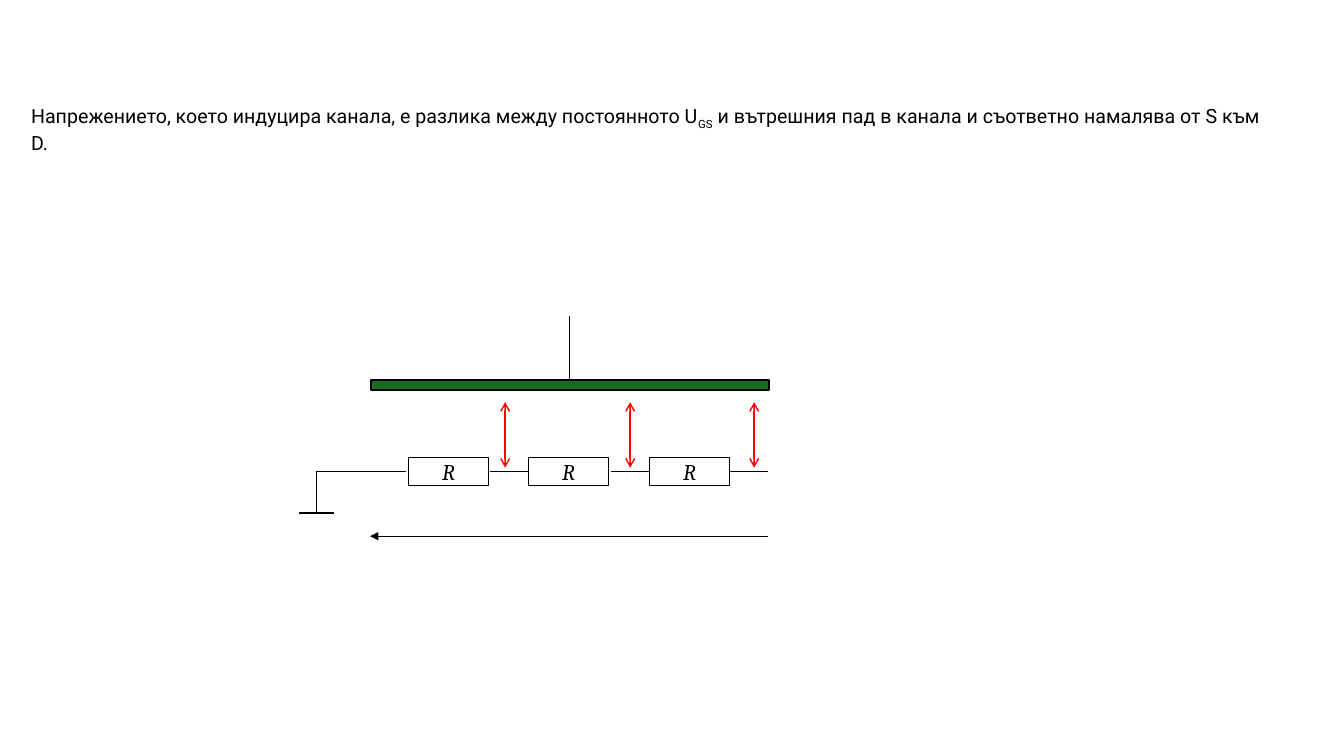
from pptx import Presentation
from pptx.dml.color import RGBColor
from pptx.enum.shapes import MSO_CONNECTOR, MSO_SHAPE
from pptx.enum.text import MSO_ANCHOR, MSO_AUTO_SIZE, PP_ALIGN
from pptx.oxml.ns import qn
from pptx.util import Inches, Pt
from lxml.etree import SubElement

BLACK = RGBColor(0x00, 0x00, 0x00)
WHITE = RGBColor(0xFF, 0xFF, 0xFF)
RED = RGBColor(0xFF, 0x00, 0x00)
GREEN = RGBColor(0x19, 0x6B, 0x24)

# (text, baseline shift in thousandths of a percent)
EXPLANATION = [
    ("Напрежението, което индуцира канала, е разлика между постоянното U", 0),
    ("GS", -25000),
    (" и вътрешния пад в канала и съответно намалява от S към D.", 0),
]
RESISTOR_LABEL = "R"
RESISTOR_LEFTS = [4.05, 5.24, 6.44]
RESISTOR_TOP, RESISTOR_WIDTH, RESISTOR_HEIGHT = 4.54, 0.8, 0.28
WIRE_Y = RESISTOR_TOP + RESISTOR_HEIGHT / 2
WIRE_STARTS = [4.86, 6.06, 7.24]
WIRE_LENGTH = 0.38
GATE = (3.68, 3.77, 3.95, 0.1)
GROUND_Y = 5.09
VOLTAGE_XS = [5.01, 6.25, 7.48]
VOLTAGE_TOP, VOLTAGE_BOTTOM = 3.99, 4.64


def add_span(para, text, font, size, italic=None, baseline=0):
    span = para.add_run()
    span.text = text
    span.font.name = font
    span.font.size = Pt(size)
    span.font.italic = italic
    span.font.color.rgb = BLACK
    if baseline:
        span.font._element.set("baseline", str(baseline))


def add_rectangle(page, place, fill, line_width):
    box = page.shapes.add_shape(MSO_SHAPE.RECTANGLE, *map(Inches, place))
    box.shadow.inherit = False
    box.fill.solid()
    box.fill.fore_color.rgb = fill
    box.line.color.rgb = BLACK
    box.line.width = Pt(line_width)
    return box


def add_line(page, start, end, color=BLACK, head=None, tail=None,
             kind=MSO_CONNECTOR.STRAIGHT, bend=None):
    """Draw a connector; bend places the elbow as a share of its width."""
    line = page.shapes.add_connector(kind, *map(Inches, (*start, *end)))
    line.line.color.rgb = color
    line.line.width = Pt(1)
    properties = line._element.spPr
    outline = properties.find(qn("a:ln"))
    for tag, arrow in (("a:headEnd", head), ("a:tailEnd", tail)):
        if arrow:
            SubElement(outline, qn(tag), type=arrow)
    SubElement(properties, qn("a:effectLst"))
    if bend is not None:
        adjustments = properties.find(qn("a:prstGeom")).find(qn("a:avLst"))
        SubElement(adjustments, qn("a:gd"), name="adj1",
                   fmla=f"val {round(bend * 100000)}")


def add_explanation(page):
    box = page.shapes.add_textbox(*map(Inches, (0.21, 0.98, 12.52, 0.34)))
    box.text_frame.word_wrap = True
    box.text_frame.auto_size = MSO_AUTO_SIZE.SHAPE_TO_FIT_TEXT
    para = box.text_frame.paragraphs[0]
    for text, baseline in EXPLANATION:
        add_span(para, text, "Roboto", 14, baseline=baseline)


def add_channel(page):
    for left in RESISTOR_LEFTS:
        place = (left, RESISTOR_TOP, RESISTOR_WIDTH, RESISTOR_HEIGHT)
        box = add_rectangle(page, place, WHITE, 0.75)
        box.text_frame.vertical_anchor = MSO_ANCHOR.MIDDLE
        para = box.text_frame.paragraphs[0]
        para.alignment = PP_ALIGN.CENTER
        add_span(para, RESISTOR_LABEL, "Cambria", 16, italic=True)
    for x in WIRE_STARTS:
        add_line(page, (x, WIRE_Y), (x + WIRE_LENGTH, WIRE_Y),
                 kind=MSO_CONNECTOR.ELBOW)
    add_line(page, (4.03, WIRE_Y), (3.18, GROUND_Y),
             kind=MSO_CONNECTOR.ELBOW, bend=1.05)
    add_line(page, (2.97, GROUND_Y), (3.31, GROUND_Y))


def add_gate(page):
    add_rectangle(page, GATE, GREEN, 1.5)
    add_line(page, (5.65, 3.14), (5.65, GATE[1]))


def main():
    deck = Presentation()
    deck.slide_width, deck.slide_height = Inches(13.33), Inches(7.5)
    page = deck.slides.add_slide(deck.slide_layouts[6])
    add_explanation(page)
    add_channel(page)
    add_gate(page)
    add_line(page, (7.62, 5.32), (3.67, 5.32), tail="triangle")
    for x in VOLTAGE_XS:
        add_line(page, (x, VOLTAGE_TOP), (x, VOLTAGE_BOTTOM), RED,
                 head="arrow", tail="arrow")
    deck.save("out.pptx")


if __name__ == "__main__":
    main()
